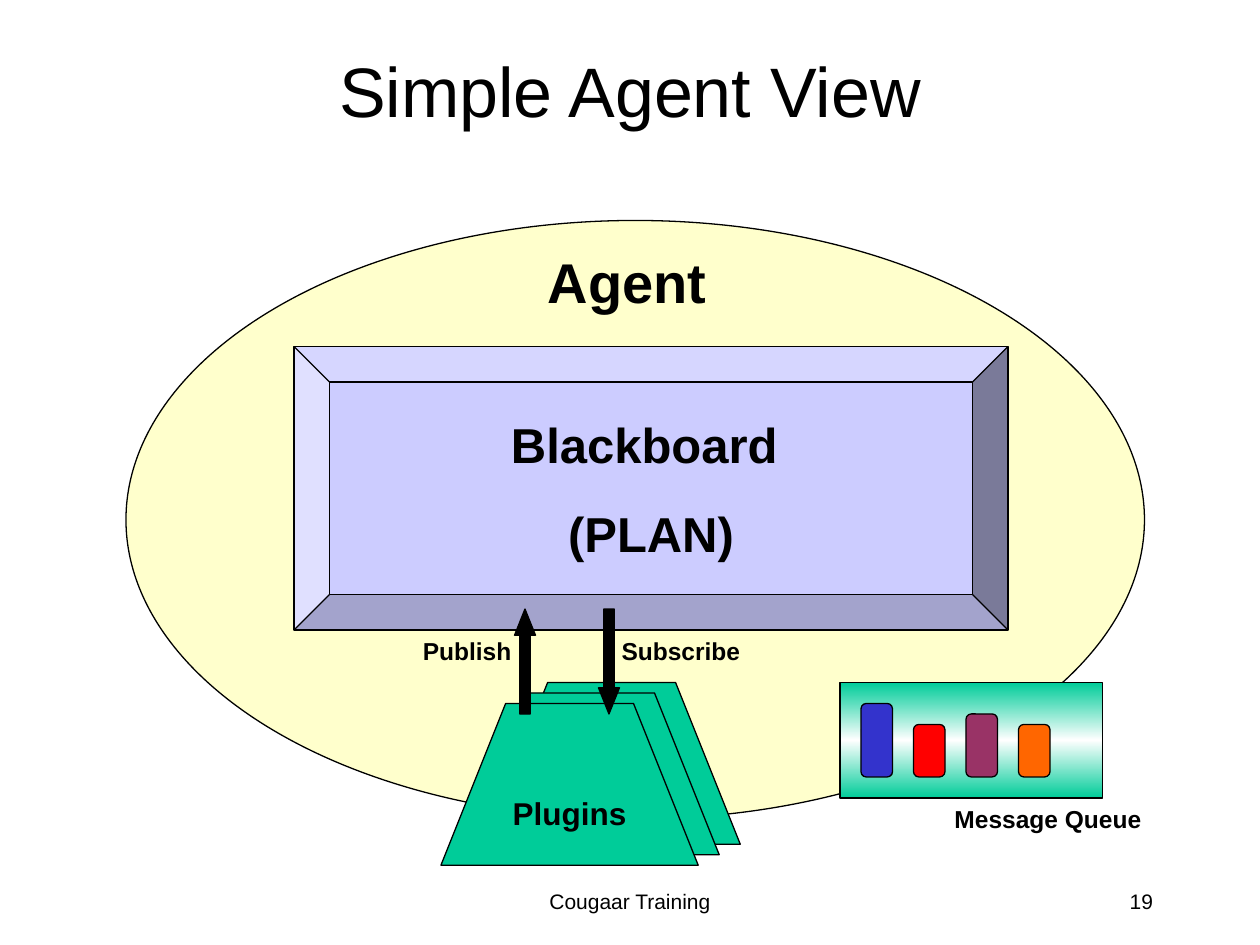
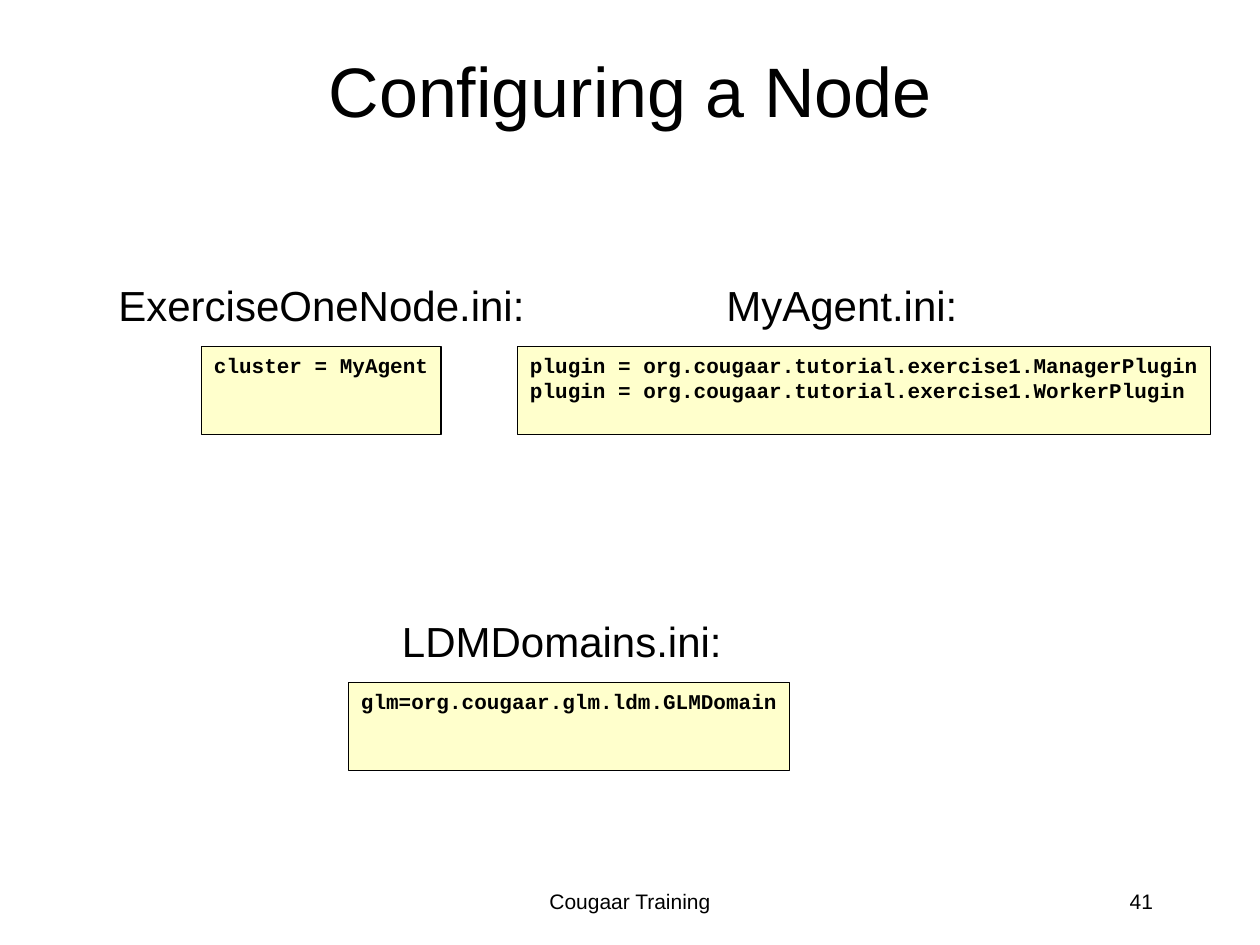
"""Build two training slides: a simple agent diagram and the node configuration files."""
from copy import deepcopy

from pptx import Presentation
from pptx.dml.color import RGBColor
from pptx.enum.shapes import MSO_SHAPE
from pptx.enum.text import MSO_ANCHOR, PP_ALIGN
from pptx.oxml.ns import qn
from pptx.util import Pt

PX = 7620
OVAL, BEVEL, TRAPEZOID = MSO_SHAPE.OVAL, MSO_SHAPE.BEVEL, MSO_SHAPE.TRAPEZOID
RECT, ROUNDED = MSO_SHAPE.RECTANGLE, MSO_SHAPE.ROUNDED_RECTANGLE
UP, DOWN = MSO_SHAPE.UP_ARROW, MSO_SHAPE.DOWN_ARROW
LEFT, CENTER, RIGHT = PP_ALIGN.LEFT, PP_ALIGN.CENTER, PP_ALIGN.RIGHT
TOP, MIDDLE = MSO_ANCHOR.TOP, MSO_ANCHOR.MIDDLE

COLORS = {
    "black": "000000", "white": "FFFFFF", "cream": "FFFFCC", "lavender": "CCCCFF",
    "green": "00CC99", "blue": "3333CC", "red": "FF0000", "plum": "993366",
    "orange": "FF6600",
}
STYLES = {
    "title": {"size": Pt(40), "name": "Arial", "bold": False},
    "footer": {"size": Pt(12), "name": "Arial", "bold": False},
    "agent": {"size": Pt(32), "name": "Arial", "bold": True},
    "blackboard": {"size": Pt(28), "name": "Arial", "bold": True},
    "plugins": {"size": Pt(18), "name": "Arial", "bold": True},
    "label": {"size": Pt(14), "name": "Arial", "bold": True},
    "file": {"size": Pt(24), "name": "Arial", "bold": False},
    "code": {"size": Pt(12), "name": "Courier New", "bold": True},
}
FOOTER = "Cougaar Training"

BLACKBOARD = ["Blackboard ", "(PLAN)"]
PLUGIN_COUNT, PLUGIN_STEP = 3, (20, 10)
FRONT_PLUGIN = (420, 670, 245, 154)
ARROWS = [(UP, 490), (DOWN, 570)]
LABELS = [
    ("Agent", "agent", (510, 230, 175, 77), CENTER),
    ("Plugins", "plugins", (420, 750, 245, 44), CENTER),
    ("Publish", "label", (390, 600, 110, 41), CENTER),
    ("Subscribe", "label", (580, 600, 137, 41), CENTER),
    ("Message Queue", "label", (890, 760, 209, 41), RIGHT),
]
QUEUE = (800, 650, 250, 110)
MESSAGES = [("blue", 70), ("red", 50), ("plum", 60), ("orange", 50)]
MESSAGE_LEFT, MESSAGE_BASE, MESSAGE_WIDTH, MESSAGE_PITCH = 820, 740, 30, 50

FILES = [
    ("ExerciseOneNode.ini:", (101, 260, 430, 60), ["cluster = MyAgent"], (192, 330, 228, 84)),
    ("MyAgent.ini:", (680, 260, 264, 60),
     ["plugin = org.cougaar.tutorial.exercise1.ManagerPlugin",
      "plugin = org.cougaar.tutorial.exercise1.WorkerPlugin"], (493, 330, 660, 84)),
    ("LDMDomains.ini:", (371, 580, 349, 60),
     ["glm=org.cougaar.glm.ldm.GLMDomain"], (332, 650, 420, 84)),
]


def color(name):
    return RGBColor.from_string(COLORS[name])


def emu(box):
    return [v * PX for v in box]


def write(s, lines, style, align=LEFT, anchor=TOP, wrap=False, gap=0):
    tf = s.text_frame
    tf.word_wrap = wrap
    tf.vertical_anchor = anchor
    for i, line in enumerate(lines):
        p = tf.paragraphs[0] if i == 0 else tf.add_paragraph()
        p.alignment = align
        p.space_before = Pt(gap if i else 0)
        r = p.add_run()
        r.text = line
        r.font.color.rgb = color("black")
        for key, value in STYLES[style].items():
            setattr(r.font, key, value)


def text(sp, line, style, box, align=LEFT, anchor=TOP, wrap=False):
    write(sp.add_textbox(*emu(box)), [line], style, align, anchor, wrap)


def shape(sp, kind, box, fill, *adjustments):
    s = sp.add_shape(kind, *emu(box))
    s.shadow.inherit = False
    s.fill.solid()
    s.fill.fore_color.rgb = color(fill)
    s.line.color.rgb = color("black")
    s.line.width = Pt(0.75)
    for i, value in enumerate(adjustments):
        s.adjustments[i] = value
    return s


def banded_gradient(s, edge, middle):
    s.fill.gradient()
    s.fill.gradient_angle = 90
    stops = s._element.spPr.find(qn("a:gradFill")).find(qn("a:gsLst"))
    stops.insert(1, deepcopy(stops[0]))
    for stop, name, position in zip(s.fill.gradient_stops, (edge, middle, edge), (0, 0.5, 1)):
        stop.color.rgb = color(name)
        stop.position = position


def new_slide(prs, title, number):
    sp = prs.slides.add_slide(prs.slide_layouts[6]).shapes
    text(sp, title, "title", (170, 10, 860, 150), CENTER, MIDDLE, True)
    text(sp, FOOTER, "footer", (410, 840, 380, 60), CENTER, wrap=True)
    text(sp, str(number), "footer", (860, 840, 250, 60), RIGHT, wrap=True)
    return sp


def agent_slide(prs):
    sp = new_slide(prs, "Simple Agent View", 19)
    shape(sp, OVAL, (120, 210, 970, 570), "cream")
    x, y, w, h = FRONT_PLUGIN
    for i in reversed(range(PLUGIN_COUNT)):
        box = (x + i * PLUGIN_STEP[0], y - i * PLUGIN_STEP[1], w, h)
        shape(sp, TRAPEZOID, box, "green", 0.4)
    board = shape(sp, BEVEL, (280, 330, 680, 270), "lavender", 0.125)
    write(board, BLACKBOARD, "blackboard", CENTER, MIDDLE, gap=17.5)
    for kind, left in ARROWS:
        shape(sp, kind, (left, 580, 20, 100), "black", 0.5, 1.25)
    banded_gradient(shape(sp, RECT, QUEUE, "green"), "green", "white")
    for i, (fill, height) in enumerate(MESSAGES):
        box = (MESSAGE_LEFT + i * MESSAGE_PITCH, MESSAGE_BASE - height, MESSAGE_WIDTH, height)
        shape(sp, ROUNDED, box, fill, 0.17)
    for label in LABELS:
        text(sp, *label)


def node_slide(prs):
    sp = new_slide(prs, "Configuring a Node", 41)
    for name, name_box, code, code_box in FILES:
        text(sp, name, "file", name_box, wrap=True)
        write(shape(sp, RECT, code_box, "cream"), code, "code")


def main():
    prs = Presentation()
    prs.slide_width, prs.slide_height = emu((1200, 900))
    agent_slide(prs)
    node_slide(prs)
    prs.save("out.pptx")


if __name__ == "__main__":
    main()
